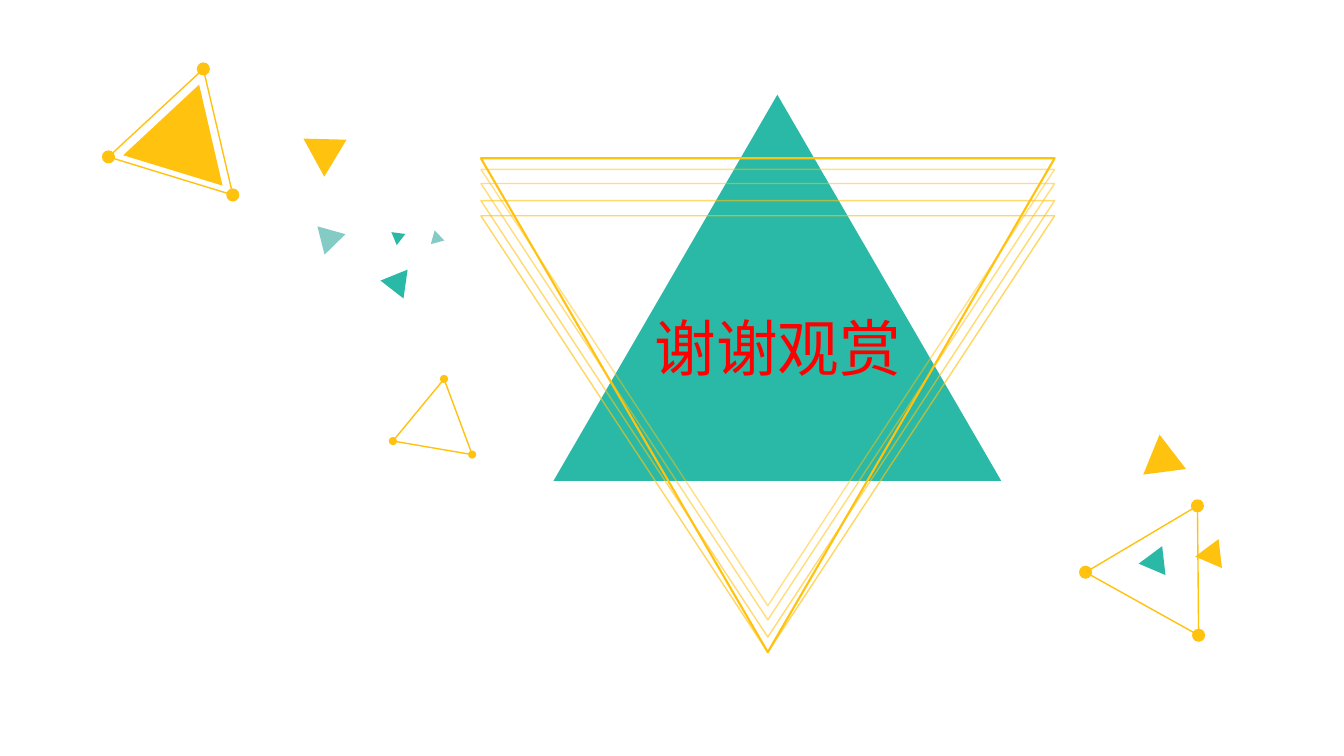
from dataclasses import dataclass
from math import cos, radians, sin

from lxml.etree import SubElement
from pptx import Presentation
from pptx.dml.color import RGBColor
from pptx.enum.shapes import MSO_SHAPE
from pptx.enum.text import MSO_ANCHOR, MSO_AUTO_SIZE, PP_ALIGN
from pptx.oxml.ns import qn
from pptx.shapes.autoshape import Shape
from pptx.shapes.shapetree import GroupShapes, SlideShapes
from pptx.slide import Slide
from pptx.util import Inches, Length, Pt

COLUMNS, ROWS = 133.3, 75
CELL = 0.1
TEAL, PALE_TEAL, YELLOW, RED = "29B9A6", "84CBC5", "FFC20F", "FF0000"
FONT = "Noto Sans CJK SC"


@dataclass(frozen=True)
class Triangle:
    """A triangle placed in grid columns and rows, filled or outlined."""

    column: float
    row: float
    width: float
    height: float
    rotation: float = 0
    color: str = YELLOW
    line_width: float = 0
    opacity: int = 100


@dataclass(frozen=True)
class DottedFrame:
    """An outlined triangle with a dot on each corner."""

    triangle: Triangle
    dot_size: float


BIG_TRIANGLE = Triangle(54.9, 9.4, 44.4, 38.3, color=TEAL)
SCATTERED = [
    Triangle(112.7, 44.1, 4.3, 3.7, 232.4),
    Triangle(113.4, 54.8, 2.9, 2.5, 143.3, TEAL),
    Triangle(119, 54.1, 2.9, 2.5, 143.3),
    Triangle(30.9, 22.1, 2.9, 2.5, 315.7, PALE_TEAL),
    Triangle(30.6, 12.9, 4.3, 3.7, 61.3),
    Triangle(38.1, 27.2, 2.9, 2.5, 158, TEAL),
    Triangle(13.3, 8.2, 10.3, 8.9, 17),
    Triangle(42.8, 23.1, 1.4, 1.2, 105.3, PALE_TEAL),
    Triangle(38.6, 22.8, 1.4, 1.2, 307.6, TEAL),
]
DOTTED_FRAMES = [
    DottedFrame(Triangle(109.6, 52.7, 12.9, 11.1, 149.3, line_width=1), 1.3),
    DottedFrame(Triangle(38.2, 39.1, 8, 6.9, 249.6, line_width=1), 0.8),
    DottedFrame(Triangle(12.1, 6.6, 12.9, 11.1, 17, line_width=1), 1.3),
]
NESTED_FRAMES = [Triangle(47.7, 15.7, 56.9, 49, 180, line_width=1.5)] + [
    Triangle(47.7, row, 56.9, 43.3, 180, line_width=1, opacity=opacity)
    for row, opacity in [(21.4, 65), (19.9, 60), (18.2, 55), (16.8, 50)]
]


def cells(count: float) -> Length:
    """Turn a number of grid cells into a length."""
    return Inches(count * CELL)


def rgb(color: str) -> RGBColor:
    """Turn a hex string into a colour."""
    return RGBColor.from_string(color)


def fill_shape(shape: Shape, color: str) -> None:
    """Give a shape a plain fill without outline or shadow."""
    shape.shadow.inherit = False
    shape.fill.solid()
    shape.fill.fore_color.rgb = rgb(color)
    shape.line.fill.background()


def outline_shape(shape: Shape, triangle: Triangle) -> None:
    """Give a shape an outline only, translucent where asked."""
    shape.shadow.inherit = False
    shape.fill.background()
    shape.line.color.rgb = rgb(triangle.color)
    shape.line.width = Pt(triangle.line_width)
    if triangle.opacity < 100:
        color = shape.element.spPr.find(f"{qn('a:ln')}/{qn('a:solidFill')}/{qn('a:srgbClr')}")
        SubElement(color, qn("a:alpha"), val=str(triangle.opacity * 1000))


def add_triangle(shapes: SlideShapes | GroupShapes, triangle: Triangle) -> None:
    """Draw one triangle."""
    shape = shapes.add_shape(
        MSO_SHAPE.ISOSCELES_TRIANGLE,
        cells(triangle.column), cells(triangle.row),
        cells(triangle.width), cells(triangle.height),
    )
    shape.rotation = triangle.rotation
    if triangle.line_width:
        outline_shape(shape, triangle)
    else:
        fill_shape(shape, triangle.color)


def corners(triangle: Triangle) -> list[tuple[float, float]]:
    """Find the rotated corners of a triangle in columns and rows."""
    half_width, half_height = triangle.width / 2, triangle.height / 2
    center_x, center_y = triangle.column + half_width, triangle.row + half_height
    cosine, sine = cos(radians(triangle.rotation)), sin(radians(triangle.rotation))
    offsets = [(0, -half_height), (half_width, half_height), (-half_width, half_height)]
    return [
        (center_x + x * cosine - y * sine, center_y + x * sine + y * cosine)
        for x, y in offsets
    ]


def add_dotted_frame(slide: Slide, frame: DottedFrame) -> None:
    """Draw a triangle outline and its corner dots as one group."""
    shapes = slide.shapes.add_group_shape().shapes
    add_triangle(shapes, frame.triangle)
    size = frame.dot_size
    for x, y in corners(frame.triangle):
        dot = shapes.add_shape(
            MSO_SHAPE.OVAL, cells(x - size / 2), cells(y - size / 2), cells(size), cells(size)
        )
        fill_shape(dot, frame.triangle.color)


def place_title(slide: Slide, text: str) -> None:
    """Move the title in front of the triangles and format it."""
    title = slide.shapes.title
    title.left, title.top = cells(55.3), cells(30.2)
    title.width, title.height = cells(43.7), cells(8.4)
    frame = title.text_frame
    frame.text = text
    frame.word_wrap = True
    frame.auto_size = MSO_AUTO_SIZE.NONE
    frame.vertical_anchor = MSO_ANCHOR.MIDDLE
    paragraph = frame.paragraphs[0]
    paragraph.alignment = PP_ALIGN.CENTER
    paragraph.font.size = Pt(44)
    paragraph.font.name = FONT
    paragraph.font.color.rgb = rgb(RED)
    for properties in title.element.iter(qn("a:defRPr")):
        SubElement(properties, qn("a:ea"), typeface=FONT)
    slide.shapes.element.append(title.element)


def main() -> None:
    """Build the closing slide and save it."""
    presentation = Presentation()
    presentation.slide_width, presentation.slide_height = cells(COLUMNS), cells(ROWS)
    slide = presentation.slides.add_slide(presentation.slide_layouts[5])
    for triangle in [BIG_TRIANGLE, *SCATTERED, *NESTED_FRAMES]:
        add_triangle(slide.shapes, triangle)
    for frame in DOTTED_FRAMES:
        add_dotted_frame(slide, frame)
    place_title(slide, "谢谢观赏")
    presentation.save("out.pptx")


if __name__ == "__main__":
    main()
